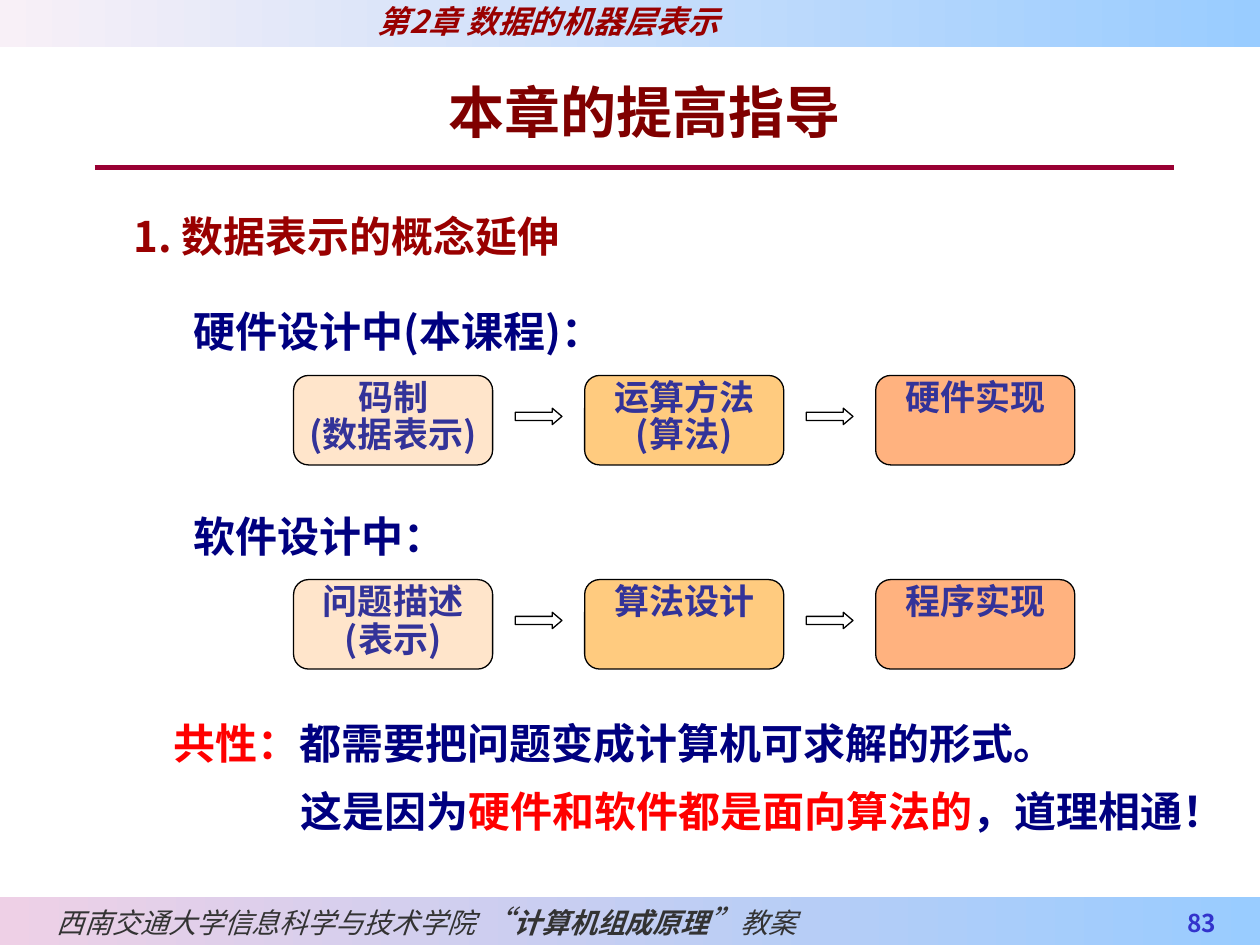
import pptx
import pptx.util
import pptx.dml.color
import pptx.enum.shapes
import pptx.enum.text
import pptx.oxml.ns
import lxml.etree

Inches = pptx.util.Inches
Pt = pptx.util.Pt
RGB = pptx.dml.color.RGBColor
Kind = pptx.enum.shapes.MSO_SHAPE
Align = pptx.enum.text.PP_ALIGN
Anchor = pptx.enum.text.MSO_ANCHOR
qn = pptx.oxml.ns.qn

FACE = "Noto Sans CJK SC"
BLACK = RGB(0x00, 0x00, 0x00)
WHITE = RGB(0xFF, 0xFF, 0xFF)
GRAY = RGB(0x33, 0x33, 0x33)
NAVY = RGB(0x00, 0x00, 0x80)
BLUE = RGB(0x33, 0x33, 0xCC)
INDIGO = RGB(0x33, 0x33, 0x99)
RED = RGB(0xFF, 0x00, 0x00)
MAROON = RGB(0x80, 0x00, 0x00)
BRICK = RGB(0x99, 0x00, 0x00)
WINE = RGB(0x99, 0x00, 0x33)
SKY = RGB(0x99, 0xCC, 0xFF)
PINK = RGB(0xEE, 0xD0, 0xE6)
PALE = RGB(0xF8, 0xF0, 0xF7)
STEPS = [RGB(0xFF, 0xCC, 0x99), RGB(0xFF, 0x99, 0x00), RGB(0xFF, 0x66, 0x00)]


def write(shape, lines, size, color, align=Align.LEFT, space=0.9, bold=True,
          italic=False, anchor=Anchor.TOP, pads=(0.1, 0.05, 0.1, 0.05), wrap=True):
    frame = shape.text_frame
    frame.word_wrap = wrap
    frame.vertical_anchor = anchor
    (frame.margin_left, frame.margin_top,
     frame.margin_right, frame.margin_bottom) = map(Inches, pads)
    for i, runs in enumerate(lines):
        para = frame.paragraphs[0] if i == 0 else frame.add_paragraph()
        para.alignment = align
        para.line_spacing = space
        font = para.font
        font.name, font.size, font.bold, font.italic = FACE, Pt(size), bold, italic
        font.color.rgb = color
        props = para._p.pPr.find(qn("a:defRPr"))
        lxml.etree.SubElement(props, qn("a:ea")).set("typeface", FACE)
        for text, tint, look in runs:
            run = para.add_run()
            run.text = text
            if tint:
                run.font.color.rgb = tint
            for key, value in look.items():
                setattr(run.font, key, value)


def plain(text):
    return (text, None, {})


def label(slide, area, runs, size, color, **style):
    box = slide.shapes.add_textbox(*map(Inches, area))
    write(box, [runs], size, color, **style)


def form(slide, kind, area):
    shape = slide.shapes.add_shape(kind, *map(Inches, area))
    shape.shadow.inherit = False
    shape.line.color.rgb = BLACK
    shape.line.width = Pt(0.75)
    return shape


def band(slide, area, left, right):
    shape = form(slide, Kind.RECTANGLE, area)
    shape.line.fill.background()
    shape.fill.gradient()
    shape.fill.gradient_angle = 0
    for stop, color in zip(shape.fill.gradient_stops, (left, right)):
        stop.color.rgb = color
    return shape


def step(slide, x, y, lines, color):
    shape = form(slide, Kind.ROUNDED_RECTANGLE, (x, y, 1.58, 0.71))
    shape.fill.solid()
    shape.fill.fore_color.rgb = color
    tint = shape._element.spPr.find(qn("a:solidFill")).find(qn("a:srgbClr"))
    lxml.etree.SubElement(tint, qn("a:alpha")).set("val", "50000")
    write(shape, [[plain(line)] for line in lines], 20, INDIGO,
          align=Align.CENTER, pads=(0, 0, 0, 0))


def arrow(slide, x, y):
    shape = form(slide, Kind.RIGHT_ARROW, (x, y, 0.37, 0.13))
    shape.adjustments[1] = 0.59
    shape.fill.solid()
    shape.fill.fore_color.rgb = WHITE


def flow(slide, y, title, steps):
    label(slide, (1.44, y, 7.12, 0.63), [plain(title)], 24, NAVY, space=1.3)
    for i, (lines, color) in enumerate(zip(steps, STEPS)):
        x = 2.33 + 2.31 * i
        step(slide, x, y + 0.72, lines, color)
        if i:
            arrow(slide, x - 0.55, y + 0.98)


def rule(slide):
    line = slide.shapes.add_connector(
        pptx.enum.shapes.MSO_CONNECTOR.STRAIGHT,
        Inches(0.75), Inches(1.33), Inches(9.32), Inches(1.33))
    line.line.color.rgb = WINE
    line.line.width = Pt(3)
    lxml.etree.SubElement(line._element.spPr, qn("a:effectLst"))


def frame(slide):
    foot = band(slide, (0, 7.12, 10, 0.38), PINK, SKY)
    quote = {"size": Pt(18)}
    write(foot, [[plain("西南交通大学信息科学与技术学院 "), ("“", None, quote),
                  ("计算机组成原理", None, {"bold": True}),
                  ("”", None, quote), plain("教案")]],
          16, GRAY, space=1, bold=False, italic=True, anchor=Anchor.MIDDLE,
          pads=(0.45, 0.05, 0.1, 0.05))
    head = band(slide, (0, 0, 10, 0.37), PALE, SKY)
    write(head, [[plain("第2章 数据的机器层表示")]], 18, BRICK, italic=True,
          pads=(3, 0.05, 0.1, 0.05))
    label(slide, (8.67, 7.11, 1.08, 0.38), [plain("83")], 14, BLUE, space=1,
          align=Align.RIGHT, anchor=Anchor.BOTTOM, pads=(0.1, 0, 0.1, 0.05))


def main():
    deck = pptx.Presentation()
    deck.slide_width, deck.slide_height = Inches(10), Inches(7.5)
    slide = deck.slides.add_slide(deck.slide_layouts[6])
    frame(slide)
    label(slide, (1.33, 0.57, 7.58, 0.63), [plain("本章的提高指导")], 32, MAROON,
          align=Align.CENTER, space=1)
    rule(slide)
    label(slide, (0.96, 1.67, 5.99, 0.47), [plain("1. 数据表示的概念延伸")], 24, BRICK)
    flow(slide, 2.26, "硬件设计中(本课程)：",
         [["码制", "(数据表示)"], ["运算方法", "(算法)"], ["硬件实现"]])
    flow(slide, 3.88, "软件设计中：",
         [["问题描述", "(表示)"], ["算法设计"], ["程序实现"]])
    label(slide, (1.26, 5.69, 7.24, 0.46),
          [("共性：", RED, {}), plain("都需要把问题变成计算机可求解的形式。")],
          24, NAVY, align=Align.CENTER, wrap=False)
    label(slide, (2.11, 6.23, 7.89, 0.46),
          [plain("这是因为"), ("硬件和软件都是面向算法的", RED, {}), plain("，道理相通！")],
          24, NAVY, align=Align.CENTER)
    deck.save("out.pptx")


if __name__ == "__main__":
    main()
